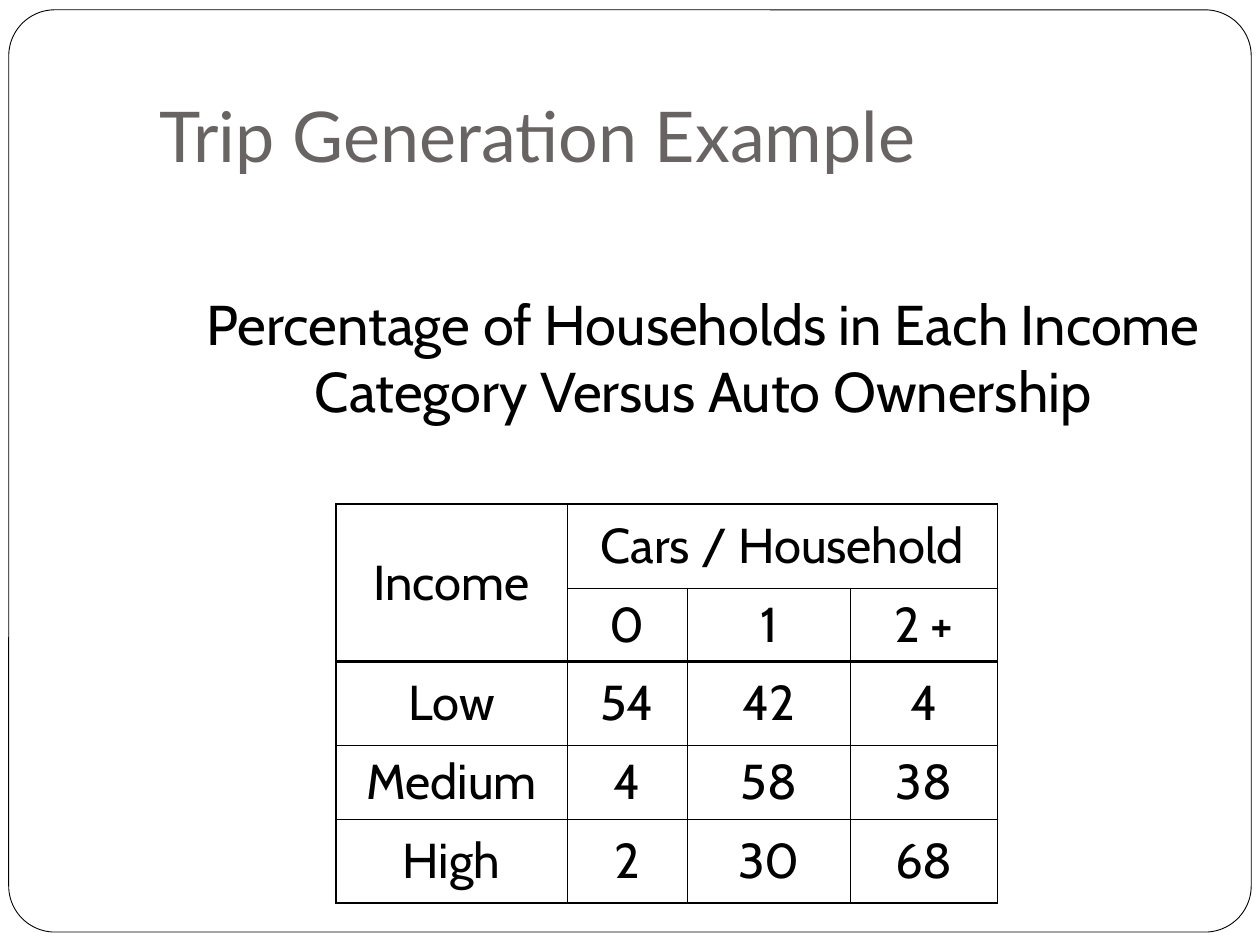
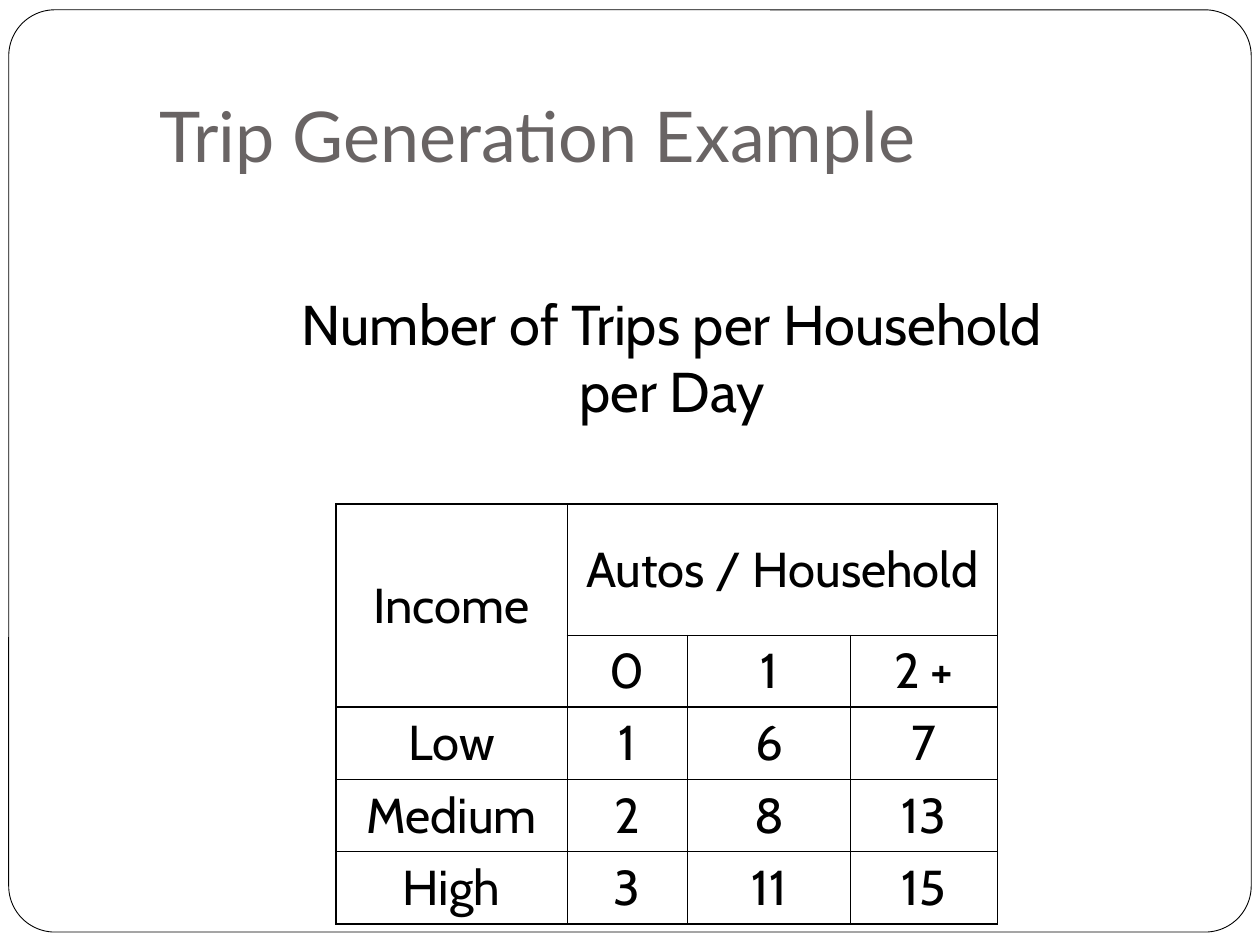
from lxml import etree
from pptx import Presentation
from pptx.dml.color import RGBColor
from pptx.enum import shapes, text
from pptx.oxml import ns
from pptx.util import Pt

TITLE = "Trip Generation Example"
SLIDES = [
    {
        "caption": "Percentage of Households in Each Income Category Versus Auto Ownership",
        "caption_place": (90, 162, 624, 122),
        "row_heights": (48, 42, 48, 42, 48),
        "rows": [
            ("Income", "Cars / Household", "", ""),
            ("", "0", "1", "2 +"),
            ("Low", "54", "42", "4"),
            ("Medium", "4", "58", "38"),
            ("High", "2", "30", "68"),
        ],
    },
    {
        "caption": "Number of Trips per Household per Day",
        "caption_place": (156, 162, 456, 84),
        "row_heights": (75, 41, 41, 41, 41),
        "rows": [
            ("Income", "Autos / Household", "", ""),
            ("", "0", "1", "2 +"),
            ("Low", "1", "6", "7"),
            ("Medium", "2", "8", "13"),
            ("High", "3", "11", "15"),
        ],
    },
]

COLORS = {"title": "696464", "ink": "000000", "paper": "FFFFFF"}
TITLE_FONT = {"name": "Lato", "size": Pt(40), "color": "title"}
CAPTION_FONT = {"name": "Cabin", "size": Pt(32), "color": "ink"}
CELL_FONT = {"name": "Cabin", "size": Pt(28), "color": "ink"}

FRAME_PLACE = (5, 5.6, 710, 527)
TITLE_PLACE = (84, 12, 618, 96)
TABLE_CORNER = (192, 288)
COLUMN_WIDTHS = (132, 69, 93, 84)
HEADER_ROWS = 2
INNER_LINE, OUTER_LINE, HEADER_LINE = 0.45, 1.08, 1.47


def rgb(name):
    return RGBColor.from_string(COLORS[name])


def set_text(frame, words, font, align):
    para = frame.paragraphs[0]
    para.alignment = align
    span = para.add_run()
    span.text = words
    for key, value in font.items():
        if key == "color":
            span.font.color.rgb = rgb(value)
        else:
            setattr(span.font, key, value)


def add_frame(slide):
    """Draw the rounded page border behind everything else."""
    frame = slide.shapes.add_shape(
        shapes.MSO_SHAPE.ROUNDED_RECTANGLE, *map(Pt, FRAME_PLACE))
    frame.adjustments[0] = 0.05
    frame.shadow.inherit = False
    frame.fill.solid()
    frame.fill.fore_color.rgb = rgb("paper")
    frame.line.color.rgb = rgb("ink")
    frame.line.width = Pt(0.5)
    slide.shapes[0].element.addprevious(frame.element)


def place_title(slide):
    title = slide.shapes.title
    title.left, title.top, title.width, title.height = map(Pt, TITLE_PLACE)
    settings = {
        "auto_size": text.MSO_AUTO_SIZE.NONE,
        "vertical_anchor": text.MSO_ANCHOR.BOTTOM,
        "margin_bottom": Pt(7.2),
    }
    for key, value in settings.items():
        setattr(title.text_frame, key, value)
    set_text(title.text_frame, TITLE, TITLE_FONT, text.PP_ALIGN.LEFT)


def add_caption(slide, words, place):
    box = slide.shapes.add_textbox(*map(Pt, place))
    box.text_frame.word_wrap = True
    set_text(box.text_frame, words, CAPTION_FONT, text.PP_ALIGN.CENTER)


def line_width(edge, last, header=None):
    """Width of grid line number edge, where 0 and last are the outer ones."""
    if edge == header:
        return HEADER_LINE
    return OUTER_LINE if edge in (0, last) else INNER_LINE


def add_border(cell, side, width):
    line = etree.SubElement(
        cell._tc.get_or_add_tcPr(), ns.qn(f"a:ln{side}"), w=str(Pt(width)))
    fill = etree.SubElement(line, ns.qn("a:solidFill"))
    etree.SubElement(fill, ns.qn("a:srgbClr"), val=COLORS["ink"])


def add_income_table(slide, rows, heights):
    row_count, column_count = len(rows), len(COLUMN_WIDTHS)
    size = (sum(COLUMN_WIDTHS), sum(heights))
    table = slide.shapes.add_table(
        row_count, column_count, *map(Pt, TABLE_CORNER + size)).table
    table.first_row = table.horz_banding = False
    for column, width in zip(table.columns, COLUMN_WIDTHS):
        column.width = Pt(width)
    for row, height in zip(table.rows, heights):
        row.height = Pt(height)

    for r, values in enumerate(rows):
        for c, value in enumerate(values):
            cell = table.cell(r, c)
            cell.vertical_anchor = text.MSO_ANCHOR.MIDDLE
            add_border(cell, "L", line_width(c, column_count))
            add_border(cell, "R", line_width(c + 1, column_count))
            add_border(cell, "T", line_width(r, row_count, HEADER_ROWS))
            add_border(cell, "B", line_width(r + 1, row_count, HEADER_ROWS))
            cell.fill.background()
            if value:
                set_text(cell.text_frame, value, CELL_FONT, text.PP_ALIGN.CENTER)

    table.cell(0, 0).merge(table.cell(HEADER_ROWS - 1, 0))
    table.cell(0, 1).merge(table.cell(0, column_count - 1))


def main():
    deck = Presentation()
    deck.slide_width, deck.slide_height = Pt(720), Pt(540)
    for content in SLIDES:
        slide = deck.slides.add_slide(deck.slide_layouts[5])
        add_frame(slide)
        place_title(slide)
        add_income_table(slide, content["rows"], content["row_heights"])
        add_caption(slide, content["caption"], content["caption_place"])
    deck.save("out.pptx")


if __name__ == "__main__":
    main()
